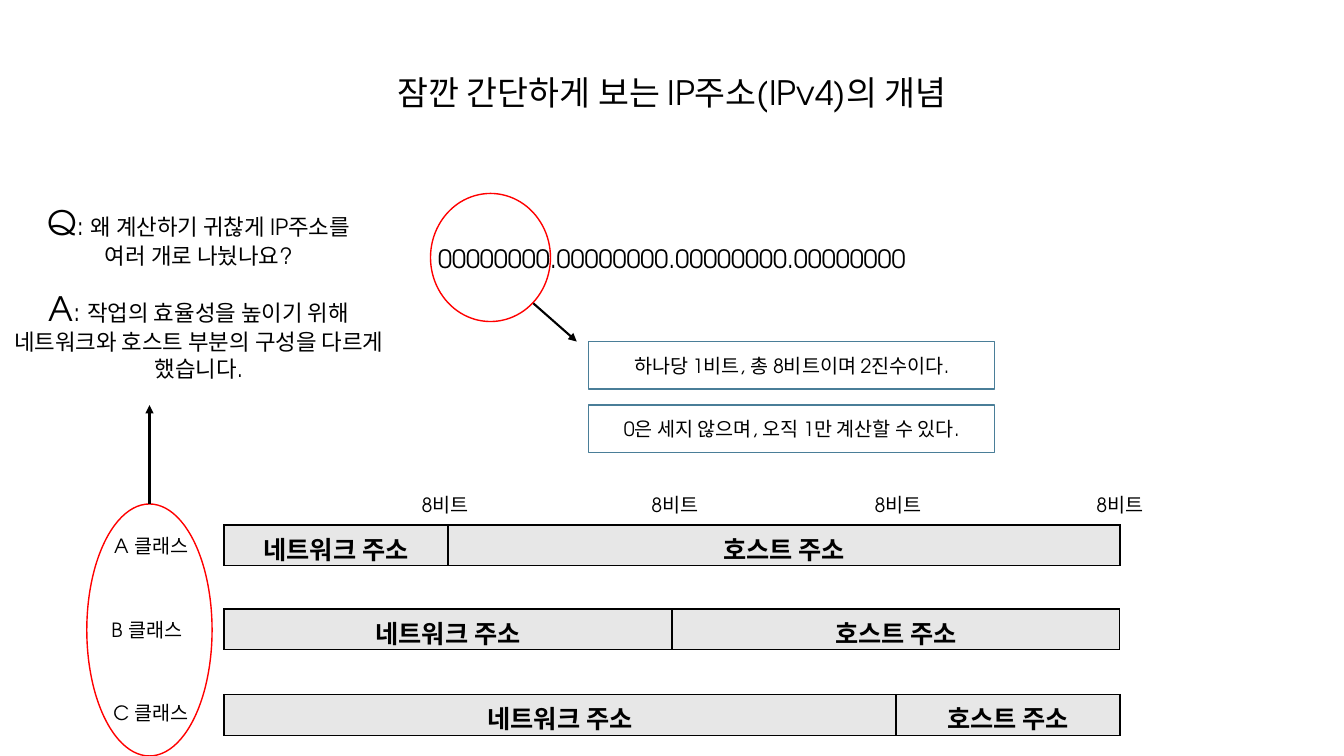
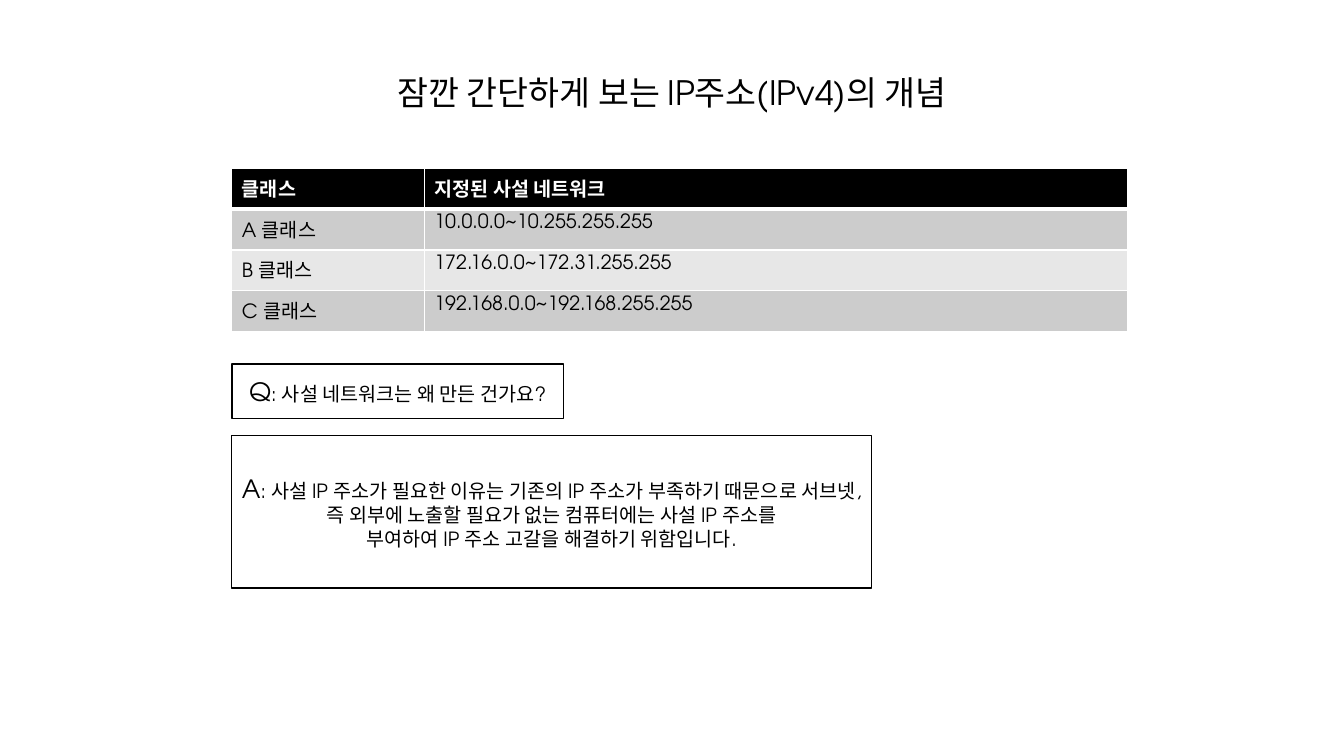
import lxml.etree
import pptx
import pptx.dml.color
import pptx.enum.shapes
import pptx.enum.text
import pptx.oxml.ns
import pptx.util

Pt = pptx.util.Pt
ALIGN = pptx.enum.text.PP_ALIGN
ANCHOR = pptx.enum.text.MSO_ANCHOR
SHAPE = pptx.enum.shapes.MSO_SHAPE
FONT = "TeX Gyre Adventor"
BLACK, WHITE, RED, TEAL = "000000", "FFFFFF", "FF0000", "4A7E98"
LIGHT, GREY = "E7E7E7", "CCCCCC"

TITLE = "잠깐 간단하게 보는 IP주소(IPv4)의 개념"
ADDRESS = ".".join(["0" * 8] * 4)
BIT_NOTES = ["하나당 1비트, 총 8비트이며 2진수이다.",
             "0은 세지 않으며, 오직 1만 계산할 수 있다."]
BAR_PARTS = ["네트워크 주소", "호스트 주소"]
# name, network bytes, bar top, label left, label top
CLASS_BARS = [("A 클래스", 1, 375, 72, 375),
              ("B 클래스", 2, 435, 69, 435),
              ("C 클래스", 3, 496, 72, 494.6)]
BIT_LABEL, BIT_LEFTS = "8비트", [282, 446, 605.5, 764]
# top, height, paragraphs of (text, size) runs
SPLIT_QA = [
    (140.4, 55.4, [[("Q", 24), (": ", 18), ("왜 계산하기 귀찮게 IP주소를", 16)],
                   [("여러 개로 나눴나요?", 16)]]),
    (202.3, 75, [[("A", 24), (": ", 18), ("작업의 효율성을 높이기 위해", 16)],
                 [("네트워크와 호스트 부분의 구성을 다르게 했습니다.", 16)]]),
]
PRIVATE_RANGES = [("클래스", "지정된 사설 네트워크"),
                  ("A 클래스", "10.0.0.0~10.255.255.255"),
                  ("B 클래스", "172.16.0.0~172.31.255.255"),
                  ("C 클래스", "192.168.0.0~192.168.255.255")]
# top, width, height, paragraphs
PRIVATE_QA = [
    (260, 237, 39, [[("Q", 18), (": 사설 네트워크는 왜 만든 건가요?", 14)]]),
    (311, 457, 109, [[("A", 18), (": 사설 IP 주소가 필요한 이유는 기존의 IP 주소가 부족하기 때문으로 "
                                  "서브넷, 즉 외부에 노출할 필요가 없는 컴퓨터에는 사설 IP 주소를", 14)],
                     [("부여하여 IP 주소 고갈을 해결하기 위함입니다.", 14)]]),
]


def rgb(color):
    return pptx.dml.color.RGBColor.from_string(color)


def write(tf, text, size=14, color=BLACK, bold=False, align=ALIGN.CENTER, anchor=ANCHOR.TOP):
    """Fill a frame with a string, or with paragraphs given as lists of (text, size)."""
    tf.word_wrap = True
    tf.vertical_anchor = anchor
    paragraphs = [[(text, size)]] if isinstance(text, str) else text
    for i, runs in enumerate(paragraphs):
        p = tf.add_paragraph() if i else tf.paragraphs[0]
        p.alignment = align
        for part, part_size in runs:
            r = p.add_run()
            r.text = part
            r.font.name, r.font.size, r.font.bold = FONT, Pt(part_size), bold
            r.font.color.rgb = rgb(color)


def add_text(s, x, y, w, h, text, **fmt):
    sp = s.shapes.add_textbox(Pt(x), Pt(y), Pt(w), Pt(h))
    write(sp.text_frame, text, **fmt)


def add_outline(s, kind, x, y, w, h, color, text=None):
    sp = s.shapes.add_shape(kind, Pt(x), Pt(y), Pt(w), Pt(h))
    sp.shadow.inherit = False
    sp.fill.background()
    sp.line.color.rgb = rgb(color)
    sp.line.width = Pt(1)
    if text:
        write(sp.text_frame, text, anchor=ANCHOR.MIDDLE)


def sub(parent, tag, **attrs):
    return lxml.etree.SubElement(parent, pptx.oxml.ns.qn(tag), attrs)


def add_arrow(s, x1, y1, x2, y2):
    line = s.shapes.add_connector(pptx.enum.shapes.MSO_CONNECTOR.STRAIGHT,
                                  Pt(x1), Pt(y1), Pt(x2), Pt(y2))
    line.line.color.rgb = rgb(BLACK)
    line.line.width = Pt(1.5)
    sub(line.line._get_or_add_ln(), "a:tailEnd", type="triangle")
    sub(line._element.spPr, "a:effectLst")


def style_cell(cell, fill, border, top=1, bottom=1):
    tcPr = cell._tc.get_or_add_tcPr()
    for side, width in zip("LRTB", (1, 1, top, bottom)):
        ln = sub(tcPr, "a:ln" + side, w=str(Pt(width)))
        sub(sub(ln, "a:solidFill"), "a:srgbClr", val=border)
    cell.fill.solid()
    cell.fill.fore_color.rgb = rgb(fill)


def add_table(s, x, y, widths, row_height, rows):
    table = s.shapes.add_table(rows, len(widths), Pt(x), Pt(y),
                               Pt(sum(widths)), Pt(row_height * rows)).table
    table.first_row = table.horz_banding = False
    for column, width in zip(table.columns, widths):
        column.width = Pt(width)
    for row in table.rows:
        row.height = Pt(row_height)
    return table


def add_slide(prs):
    s = prs.slides.add_slide(prs.slide_layouts[6])
    add_text(s, 258, 48, 444, 36, TITLE, size=24)
    return s


def build_concept(prs):
    s = add_slide(prs)
    add_text(s, 293, 170, 374, 29, ADDRESS, size=18)
    add_outline(s, SHAPE.OVAL, 307.5, 138.2, 85.7, 91.5, RED)
    add_arrow(s, 381, 216.7, 412, 244)
    for i, note in enumerate(BIT_NOTES):
        add_outline(s, SHAPE.RECTANGLE, 420.5, 244 + 45.2 * i, 290, 34, TEAL, note)

    byte_width = 160
    for name, network, top, label_left, label_top in CLASS_BARS:
        widths = [byte_width * network, byte_width * (4 - network)]
        table = add_table(s, 160, top, widths, 29.2, 1)
        for cell, part in zip(table.rows[0].cells, BAR_PARTS):
            style_cell(cell, LIGHT, BLACK)
            write(cell.text_frame, part, size=18, bold=True)
        add_text(s, label_left, label_top, 72, 29.2, name, anchor=ANCHOR.MIDDLE)
    for left in BIT_LEFTS:
        add_text(s, left, 345.6, 72, 29.2, BIT_LABEL, anchor=ANCHOR.MIDDLE)

    add_outline(s, SHAPE.OVAL, 62, 360, 89.5, 180, RED)
    add_arrow(s, 106.8, 360, 106.8, 289.4)
    for top, height, text in SPLIT_QA:
        add_text(s, 1.5, top, 281, height, text)


def build_private(prs):
    s = add_slide(prs)
    left = 165.6
    table = add_table(s, left, 120.2, [137.5, 502.5], 29.2, len(PRIVATE_RANGES))
    for i, texts in enumerate(PRIVATE_RANGES):
        header = i == 0
        fill = BLACK if header else GREY if i % 2 else LIGHT
        for cell, text in zip(table.rows[i].cells, texts):
            style_cell(cell, fill, WHITE, top=3 if i == 1 else 1, bottom=3 if header else 1)
            write(cell.text_frame, text, color=WHITE if header else BLACK,
                  bold=header, align=ALIGN.LEFT)
    for top, width, height, text in PRIVATE_QA:
        add_outline(s, SHAPE.RECTANGLE, left, top, width, height, BLACK, text)


def main():
    prs = pptx.Presentation()
    prs.slide_width, prs.slide_height = Pt(960), Pt(540)
    build_concept(prs)
    build_private(prs)
    prs.save("out.pptx")


if __name__ == "__main__":
    main()
